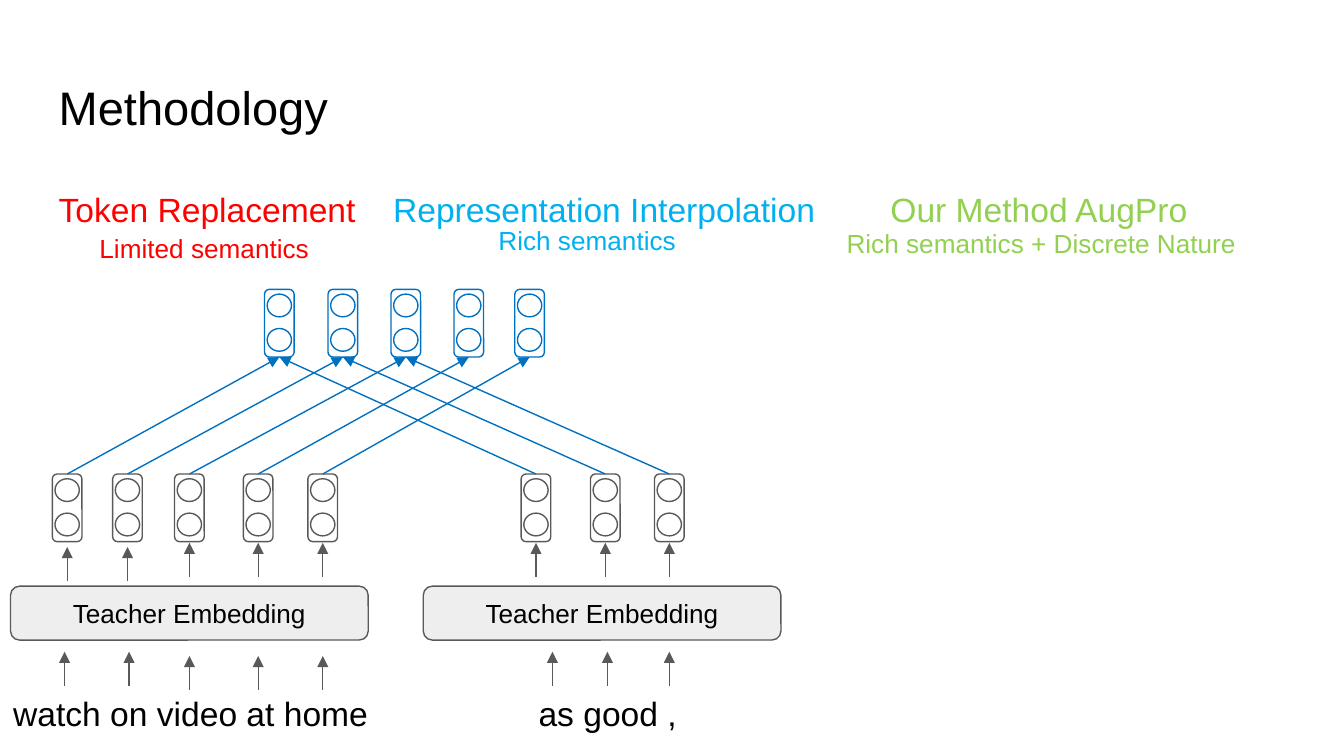
from dataclasses import dataclass

from lxml import etree
from pptx import Presentation
from pptx.dml.color import RGBColor
from pptx.enum.shapes import MSO_CONNECTOR, MSO_SHAPE
from pptx.enum.text import MSO_ANCHOR, MSO_AUTO_SIZE, PP_ALIGN
from pptx.oxml.ns import qn
from pptx.util import Cm, Pt

ROUND = MSO_SHAPE.ROUNDED_RECTANGLE
OVAL = MSO_SHAPE.OVAL
LINE = MSO_CONNECTOR.STRAIGHT
MID = MSO_ANCHOR.MIDDLE
LEFT = PP_ALIGN.LEFT
MIDST = PP_ALIGN.CENTER
GROW = MSO_AUTO_SIZE.SHAPE_TO_FIT_TEXT
FIXED = MSO_AUTO_SIZE.NONE


@dataclass(frozen=True)
class Theme:
    font: str = "Arial"
    black: str = "000000"
    red: str = "FF0000"
    sky: str = "00B0F0"
    green: str = "92D050"
    blue: str = "0070C0"
    gray: str = "595959"
    pale: str = "EEEEEE"
    title: float = 25.2
    head: float = 18
    note: float = 14
    line: float = 0.75


THEME = Theme()
PAD = 0.25
CELL_W, CELL_H = 0.56, 1.28
DOT_W, DOT_H = 0.46, 0.43
DOT_TOP, DOT_STEP = 0.09, 0.65
LOW_Y, TOP_Y = 8.96, 5.47
STEM = 0.64
TOKENS = [1.27, 2.41, 3.58, 4.88, 6.1]
OTHERS = [10.13, 11.44, 12.65]
MIXED = [5.28, 6.48, 7.67, 8.86, 10.01]
FEEDS = [(10.34, TOKENS[:2]), (10.26, TOKENS[2:] + OTHERS),
         (12.32, [1.22, 2.44, 10.44, 11.48, 12.65]), (12.4, TOKENS[2:])]


def apply(item, values):
    for name, value in values.items():
        setattr(item, name, value)


def write(frame, runs, size, align=LEFT, **para):
    line = frame.paragraphs[0]
    apply(line, {"alignment": align, **para})
    for text, color in runs:
        run = line.add_run()
        apply(run, {"text": text})
        apply(run.font, {"name": THEME.font, "size": Pt(size)})
        run.font.color.rgb = RGBColor.from_string(color)


def add_text(slide, place, runs, size, wrap=True, pad=PAD, grow=FIXED, **para):
    box = slide.shapes.add_textbox(*map(Cm, place))
    frame = box.text_frame
    apply(frame, {"word_wrap": wrap, "auto_size": grow,
                  "margin_top": Cm(pad), "margin_bottom": Cm(pad),
                  "margin_left": Cm(PAD), "margin_right": Cm(PAD)})
    write(frame, runs, size, **para)
    return frame


def add_tabs(frame, stops):
    props = frame.paragraphs[0]._p.get_or_add_pPr()
    tabs = etree.SubElement(props, qn("a:tabLst"))
    for stop in stops:
        etree.SubElement(tabs, qn("a:tab"), pos=str(Cm(stop)), algn="l")


def add_form(slide, kind, place, color, fill=None):
    form = slide.shapes.add_shape(kind, *map(Cm, place))
    form.shadow.inherit = False
    form.line.color.rgb = RGBColor.from_string(color)
    form.line.width = Pt(THEME.line)
    if fill:
        form.fill.solid()
        form.fill.fore_color.rgb = RGBColor.from_string(fill)
    else:
        form.fill.background()
    return form


def add_cell(slide, mid, top, color):
    add_form(slide, ROUND, (mid - CELL_W / 2, top, CELL_W, CELL_H), color)
    for step in range(2):
        dot = top + DOT_TOP + step * DOT_STEP
        add_form(slide, OVAL, (mid - DOT_W / 2, dot, DOT_W, DOT_H), color)


def add_arrow(slide, start, end, color):
    link = slide.shapes.add_connector(LINE, *map(Cm, start + end))
    link.line.color.rgb = RGBColor.from_string(color)
    link.line.width = Pt(THEME.line)
    etree.SubElement(link.line._get_or_add_ln(), qn("a:tailEnd"), type="triangle")
    etree.SubElement(link._element.spPr, qn("a:effectLst"))


def add_layer(slide, left):
    form = add_form(slide, ROUND, (left, 11.08, 6.76, 1.02), THEME.gray, THEME.pale)
    form.text_frame.vertical_anchor = MID
    write(form.text_frame, [("Teacher Embedding", THEME.black)], THEME.note, MIDST)


def add_heads(slide):
    add_text(slide, (0.86, 1.24, 23.67, 1.6), [("Methodology", THEME.black)], THEME.title)
    heads = [("Token Replacement\t", THEME.red),
             ("Representation Interpolation\t", THEME.sky),
             ("Our Method AugPro", THEME.green)]
    frame = add_text(slide, (0.86, 3.2, 23.67, 1.91), heads, THEME.head,
                     line_spacing=1.15, space_after=Pt(12))
    add_tabs(frame, [6.32, 15.72])
    notes = [("Limited semantics", THEME.red, 1.63, 4.27, 4.5),
             ("Rich semantics", THEME.sky, 9.17, 4.11, 3.89),
             ("Rich semantics + Discrete Nature", THEME.green, 15.75, 4.17, 7.9)]
    for text, color, left, top, width in notes:
        add_text(slide, (left, top, width, 0.86), [(text, color)], THEME.note,
                 wrap=False, pad=0.13, grow=GROW)


def add_graph(slide):
    for left in (0.2, 8):
        add_layer(slide, left)
    for mid in TOKENS + OTHERS:
        add_cell(slide, mid, LOW_Y, THEME.gray)
    for mid in MIXED:
        add_cell(slide, mid, TOP_Y, THEME.blue)
    for tip, mids in FEEDS:
        for mid in mids:
            add_arrow(slide, (mid, tip + STEM), (mid, tip), THEME.gray)
    for group in (TOKENS, OTHERS):
        for low, top in zip(group, MIXED):
            add_arrow(slide, (low, LOW_Y), (top, TOP_Y + CELL_H), THEME.blue)
    words = [("watch on video at home", 0, LEFT), ("as good ,", 7.32, MIDST)]
    for text, left, align in words:
        add_text(slide, (left, 12.73, 8.33, 1.83), [(text, THEME.black)], THEME.head,
                 grow=GROW, align=align, line_spacing=1.15, space_after=Pt(12))


def main():
    deck = Presentation()
    apply(deck, {"slide_width": Cm(25.4), "slide_height": Cm(14.29)})
    slide = deck.slides.add_slide(deck.slide_layouts[6])
    add_heads(slide)
    add_graph(slide)
    deck.save("out.pptx")


if __name__ == "__main__":
    main()
